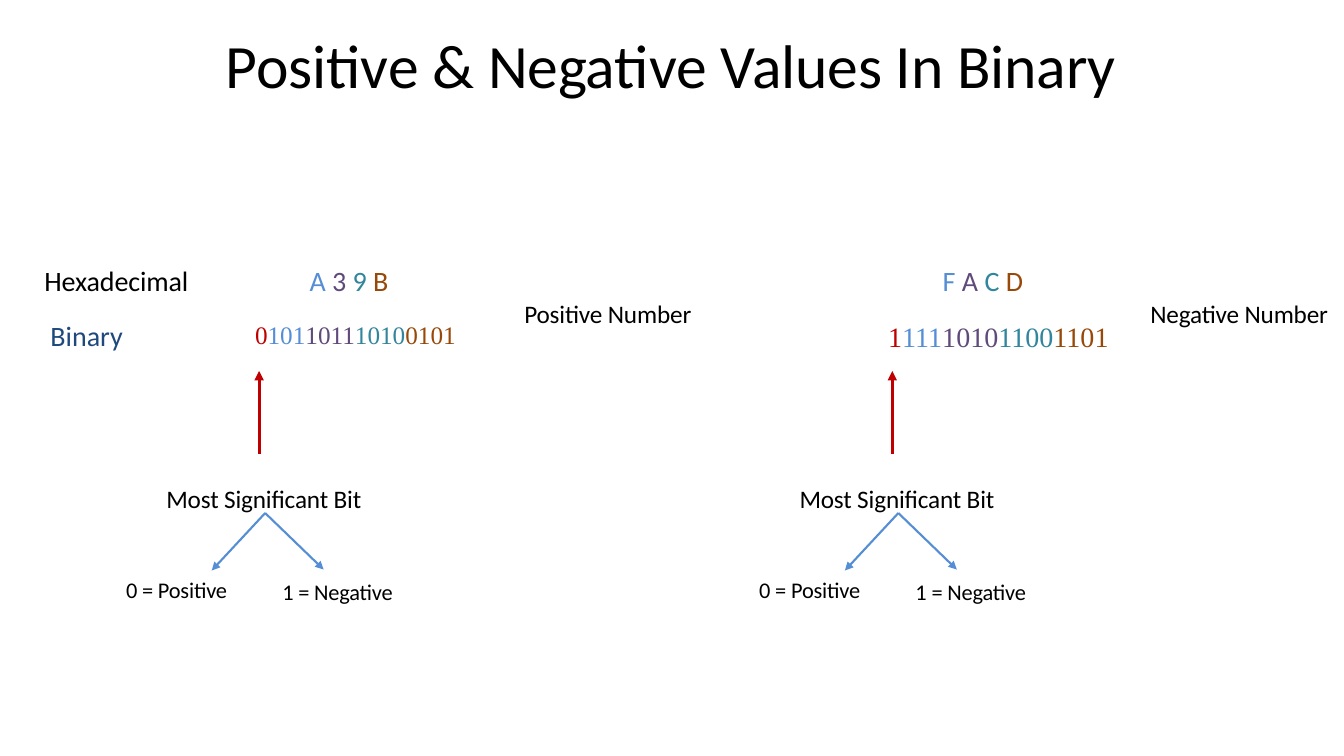
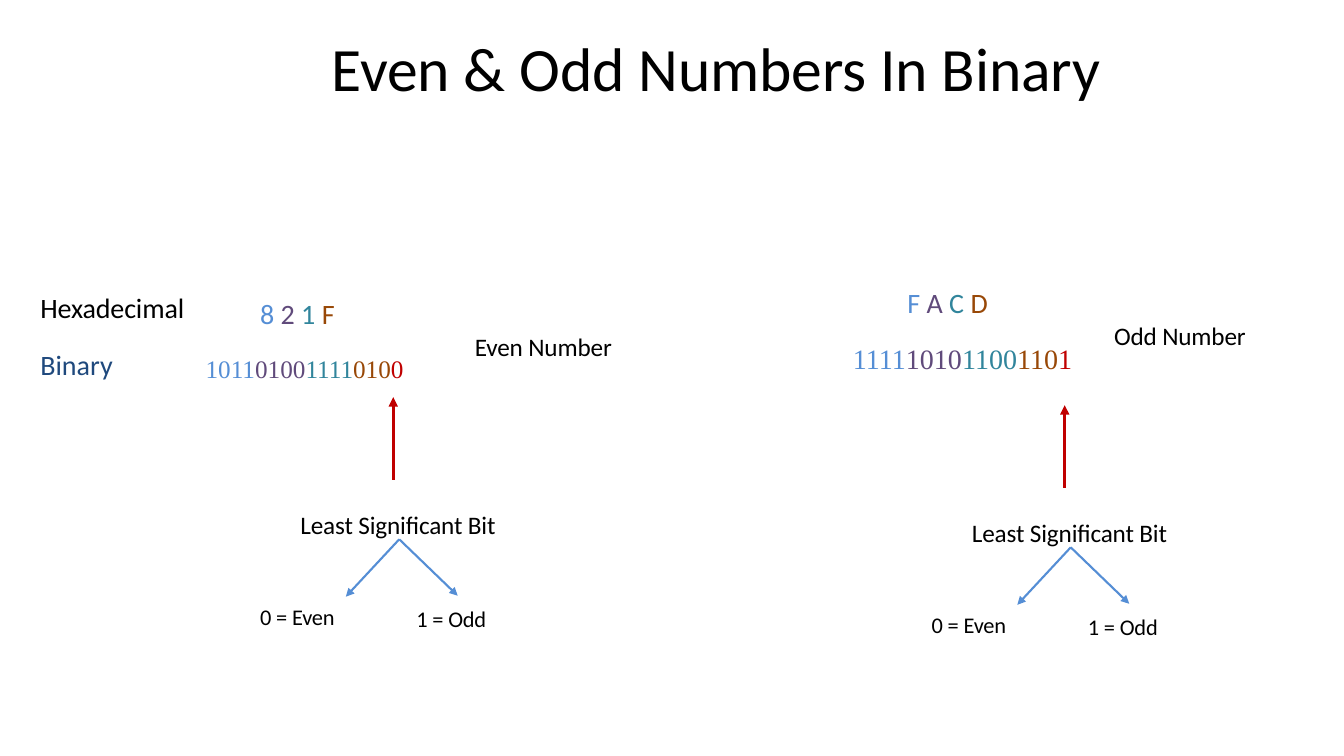
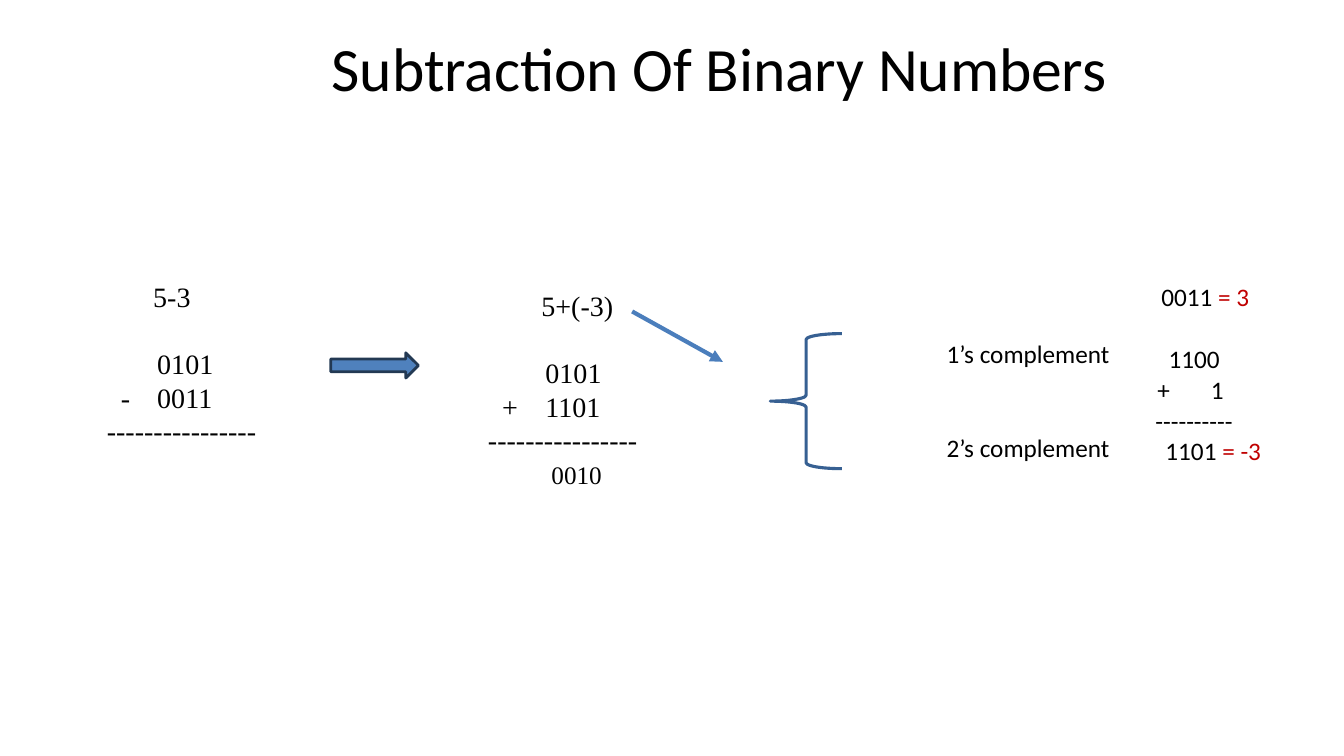
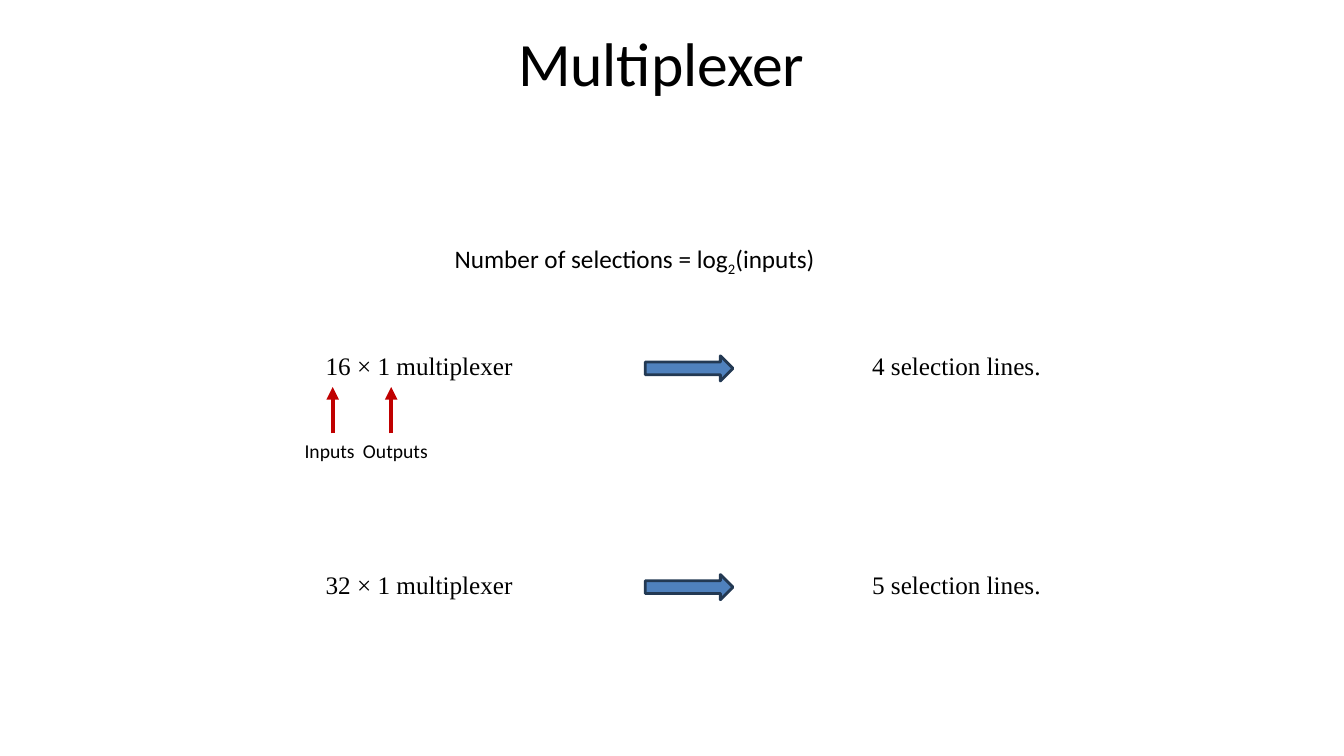
"""Build four slides on binary numbers and multiplexers."""
import dataclasses
import itertools

import lxml.etree
import pptx
import pptx.dml.color
import pptx.enum.shapes
import pptx.enum.text
import pptx.oxml
import pptx.oxml.ns
import pptx.util

EMU_PER_PX = 9144
SHAPES = pptx.enum.shapes.MSO_SHAPE


@dataclasses.dataclass(frozen=True)
class Theme:
    """Colours, fonts and type sizes of the presentation."""
    ink: str = "000000"
    accent: str = "C00000"
    branch: str = "558ED5"
    heading: str = "1F497D"
    pointer: str = "4B7EBC"
    brace: str = "376092"
    arrow_fill: str = "4F81BD"
    arrow_line: str = "233953"
    nibbles: tuple = ("558ED5", "604A7B", "31859C", "984807")
    sans: str = "Calibri"
    serif: str = "Times New Roman"
    title: int = 44
    large: int = 20
    body: int = 18
    choice: int = 16
    small: int = 14


def px(length):
    """Turn px into EMU."""
    return pptx.util.Emu(length * EMU_PER_PX)


def rgb(colour):
    """Turn a hex string into a colour."""
    return pptx.dml.color.RGBColor.from_string(colour)


@dataclasses.dataclass
class Row:
    """One line of a written sum, with an optional sign hung to its left."""
    runs: list
    indent: int = 0
    sign: str = ""
    sign_indent: int = 0
    gap: int = 0
    size: int = 0


class Deck:
    """Style, presentation and current slide."""

    def __init__(self, theme):
        """Start an empty presentation."""
        self.theme = theme
        self.presentation = pptx.Presentation()
        self.presentation.slide_width = px(1333)
        self.presentation.slide_height = px(750)
        self.slide = None

    def new_slide(self, title, left, top, width):
        """Add a blank slide with its title."""
        self.slide = self.presentation.slides.add_slide(self.presentation.slide_layouts[6])
        self.label(title, left, top, width, self.theme.title)

    def frame(self, left, top, width, height):
        """Add an empty wrapping text box and return its text frame."""
        frame = self.slide.shapes.add_textbox(px(left), px(top), px(width), px(height)).text_frame
        frame.word_wrap = True
        frame.margin_left = frame.margin_right = frame.margin_bottom = 0
        frame.margin_top = px(1)
        return frame

    def fill_paragraph(self, paragraph, runs, size, font, colour):
        """Write runs of (text, colour) into a paragraph."""
        paragraph.font.size = pptx.util.Pt(size)
        paragraph.font.name = font
        paragraph.font.color.rgb = rgb(colour)
        for text, run_colour in runs:
            run = paragraph.add_run()
            run.text = text
            if run_colour:
                run.font.color.rgb = rgb(run_colour)

    def text(self, runs, left, top, width, size=None, font=None, colour=None):
        """Add one line of text and return its paragraph."""
        size = size or self.theme.body
        if isinstance(runs, str):
            runs = [(runs, None)]
        paragraph = self.frame(left, top, width, round(size * 1.75)).paragraphs[0]
        self.fill_paragraph(paragraph, runs, size, font or self.theme.sans, colour or self.theme.ink)
        return paragraph

    def label(self, text, left, top, width, size=None):
        """Add a slightly tightened line of text."""
        paragraph = self.text(text, left, top, width, size)
        paragraph.space_before = pptx.util.Pt(1)
        for run in paragraph.runs:
            run._r.get_or_add_rPr().set("spc", "-10")

    def hexadecimal(self, digits, left, top):
        """Add hexadecimal digits, one colour each."""
        runs = list(zip(" ".join(digits).replace(" ", " |").split("|"), self.theme.nibbles))
        self.text(runs, left, top, 124, self.theme.large).space_before = pptx.util.Pt(1)

    def binary(self, digits, marked, left, top, size):
        """Add binary digits coloured by nibble, with one bit marked."""
        colours = [self.theme.nibbles[index // 4] for index in range(len(digits))]
        colours[marked] = self.theme.accent
        groups = itertools.groupby(zip(digits, colours), key=lambda pair: pair[1])
        runs = [("".join(digit for digit, _ in group), colour) for colour, group in groups]
        self.text(runs, left, top, 244, size, self.theme.serif)

    def line(self, start, end, colour, weight):
        """Add an arrow from start to end."""
        connector = self.slide.shapes.add_connector(
            pptx.enum.shapes.MSO_CONNECTOR.STRAIGHT, *map(px, start + end))
        connector.line.color.rgb = rgb(colour)
        connector.line.width = pptx.util.Pt(weight)
        tail = pptx.oxml.ns.qn("a:tailEnd")
        lxml.etree.SubElement(connector.line._get_or_add_ln(), tail, type="triangle")
        lxml.etree.SubElement(connector._element.spPr, pptx.oxml.ns.qn("a:effectLst"))

    def preset(self, kind, left, top, width, height, line, weight, fill=None):
        """Add a preset shape."""
        shape = self.slide.shapes.add_shape(kind, px(left), px(top), px(width), px(height))
        shape.shadow.inherit = False
        shape.line.color.rgb = rgb(line)
        shape.line.width = pptx.util.Pt(weight)
        if fill:
            shape.fill.solid()
            shape.fill.fore_color.rgb = rgb(fill)
        else:
            shape.fill.background()

    def block_arrow(self, left, top):
        """Add a block arrow pointing right."""
        self.preset(SHAPES.RIGHT_ARROW, left, top, 87, 25,
                    self.theme.arrow_line, 2, self.theme.arrow_fill)

    def bit_tree(self, x, y, name, zero, one):
        """Point at a bit and branch into its two meanings."""
        apex = (x + 6, y + 141)
        self.line((x, y + 82), (x, y), self.theme.accent, 2.25)
        self.label(name, x - 92, y + 110, 220)
        self.line(apex, (x - 47, y + 198), self.theme.branch, 1.5)
        self.line(apex, (x + 64, y + 197), self.theme.branch, 1.5)
        self.label(f"0 = {zero}", x - 132, y + 203, 155, self.theme.choice)
        self.label(f"1 = {one}", x + 23, y + 205, 155, self.theme.choice)

    def written_sum(self, rows, left, top, width, size, font, pitch):
        """Add a sum written in rows of the given pitch in points."""
        frame = self.frame(left, top, width, len(rows) * 34)
        for index, row in enumerate(rows):
            paragraph = frame.add_paragraph() if index else frame.paragraphs[0]
            paragraph.line_spacing = pptx.util.Pt(pitch)
            paragraph.space_before = pptx.util.Pt(row.gap)
            properties = paragraph._p.get_or_add_pPr()
            properties.set("marL", str(px(row.indent)))
            runs = row.runs
            if row.sign:
                properties.set("indent", str(px(row.sign_indent - row.indent)))
                runs = [(row.sign + "\t", None)] + runs
            self.fill_paragraph(paragraph, runs, row.size or size, font, self.theme.ink)


def sign_slide(deck):
    """Show the most significant bit."""
    theme = deck.theme
    deck.new_slide("Positive & Negative Values In Binary", 224, 26, 1100)
    deck.label("Hexadecimal", 44, 260, 155, theme.large)
    deck.text("Binary", 50, 315, 155, theme.large, colour=theme.heading)
    cases = [(0, "A39B", "0101101110100101", theme.body, "Positive Number", 520),
             (628, "FACD", "1111101011001101", theme.large, "Negative Number", 1141)]
    for shift, digits, bits, size, verdict, verdict_left in cases:
        deck.hexadecimal(digits, 307 + shift, 260)
        deck.binary(bits, 0, 253 + shift, 316, size)
        deck.label(verdict, verdict_left, 295, 213)
        deck.bit_tree(257 + shift, 368, "Most Significant Bit", "Positive", "Negative")


def parity_slide(deck):
    """Show the least significant bit."""
    theme = deck.theme
    deck.new_slide("Even & Odd Numbers In Binary", 329, 29, 841)
    deck.label("Hexadecimal", 40, 287, 155, theme.large)
    deck.text("Binary", 40, 344, 155, theme.large, colour=theme.heading)
    cases = [("821F", 258, 293, "1011010011110100", 204, 349, theme.body,
              "Even Number", 471, 328, 390, 394),
             ("FACD", 900, 282, "1111101011001101", 846, 338, theme.large,
              "Odd Number", 1105, 317, 1056, 402)]
    for (digits, hex_left, hex_top, bits, bits_left, bits_top, size,
         verdict, verdict_left, verdict_top, tree_x, tree_y) in cases:
        deck.hexadecimal(digits, hex_left, hex_top)
        deck.binary(bits, -1, bits_left, bits_top, size)
        deck.label(verdict, verdict_left, verdict_top, 213)
        deck.bit_tree(tree_x, tree_y, "Least Significant Bit", "Even", "Odd")


def subtraction_slide(deck):
    """Show subtraction as addition of the complement."""
    theme = deck.theme
    deck.new_slide("Subtraction Of Binary Numbers", 329, 29, 841)
    sums = [(106, 276, "5-3", 46, "-", "0011", 50, []),
            (484, 285, "5+(-3)", 53, "+", "1101", 57,
             [Row([("0010", None)], 63, size=theme.body)])]
    for left, top, heading, heading_indent, sign, operand, indent, result in sums:
        rows = [Row([(heading, None)], heading_indent),
                Row([("0101", None)], indent, gap=24),
                Row([(operand, None)], indent, sign, 14),
                Row([("-" * 16, None)])]
        deck.written_sum(rows + result, left, top, 180, theme.large, theme.serif, 24)
    complement = [Row([("0011 ", None), ("= 3", theme.accent)], 6),
                  Row([("1100", None)], 13, gap=22),
                  Row([("1", None)], 55, "+", 2),
                  Row([("-" * 10, None)]),
                  Row([("1101 ", None), ("= -3", theme.accent)], 10)]
    deck.written_sum(complement, 1146, 278, 150, theme.body, theme.sans, 22)
    deck.text("1’s complement", 939, 335, 194)
    deck.text("2’s complement", 939, 428, 194)
    deck.block_arrow(328, 350)
    deck.line((627, 309), (717, 359), theme.pointer, 3)
    deck.preset(SHAPES.LEFT_BRACE, 764, 331, 71, 134, theme.brace, 2.25)


def multiplexer_slide(deck):
    """Show how inputs set the number of selection lines."""
    theme = deck.theme
    deck.new_slide("Multiplexer", 514, 24, 477)
    formula = [("Number of selections = log", None), ("2", None), ("(inputs)", None)]
    paragraph = deck.text(formula, 451, 240, 600)
    paragraph.runs[1]._r.get_or_add_rPr().set("baseline", "-25000")
    for top, inputs, selections in ((347, 16, 4), (564, 32, 5)):
        deck.text(f"{inputs} × 1 multiplexer", 323, top, 206, font=theme.serif)
        deck.block_arrow(640, top + 6)
        deck.text(f"{selections} selection lines.", 865, top, 273, font=theme.serif)
    for x, name in ((330, "Inputs"), (388, "Outputs")):
        deck.line((x, 430), (x, 384), theme.accent, 3)
        deck.text(name, x - 28, 434, 71, theme.small)


def main():
    """Build and save the presentation."""
    deck = Deck(Theme())
    for build in (sign_slide, parity_slide, subtraction_slide, multiplexer_slide):
        build(deck)
    deck.presentation.save("out.pptx")


if __name__ == "__main__":
    main()
